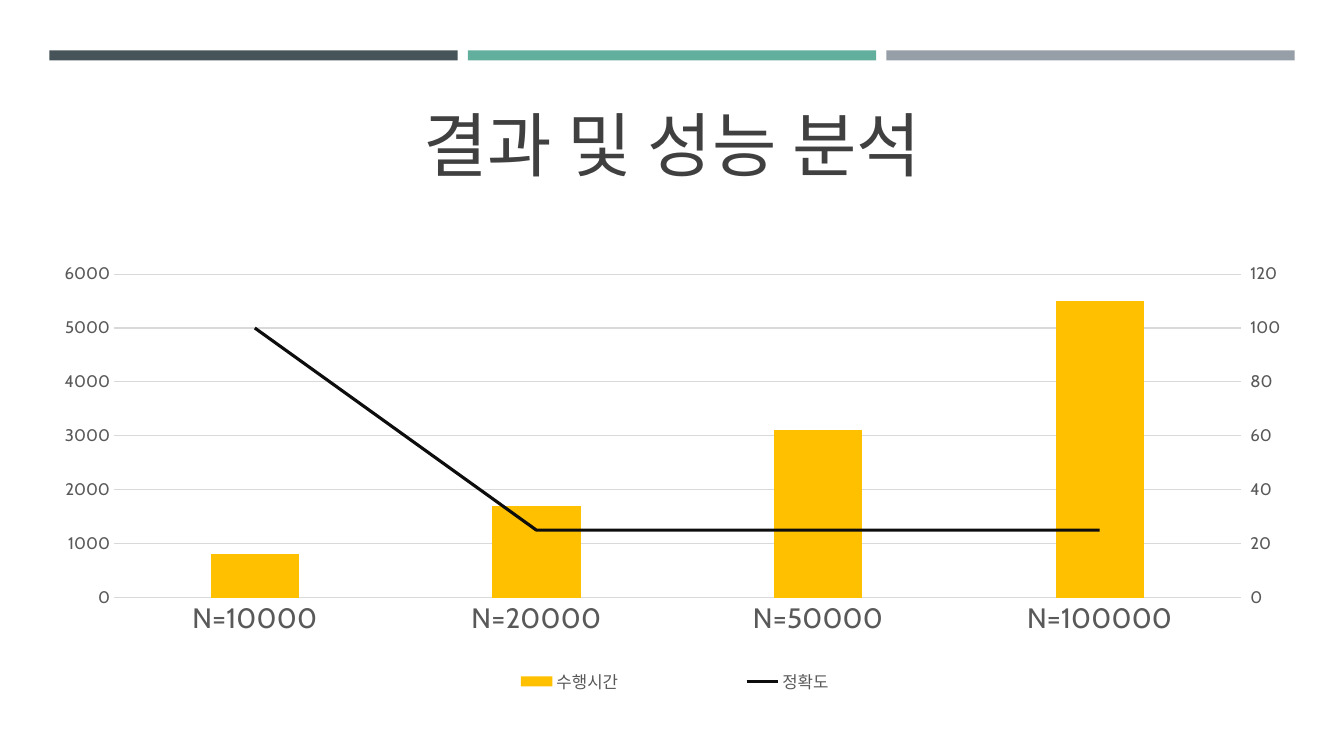
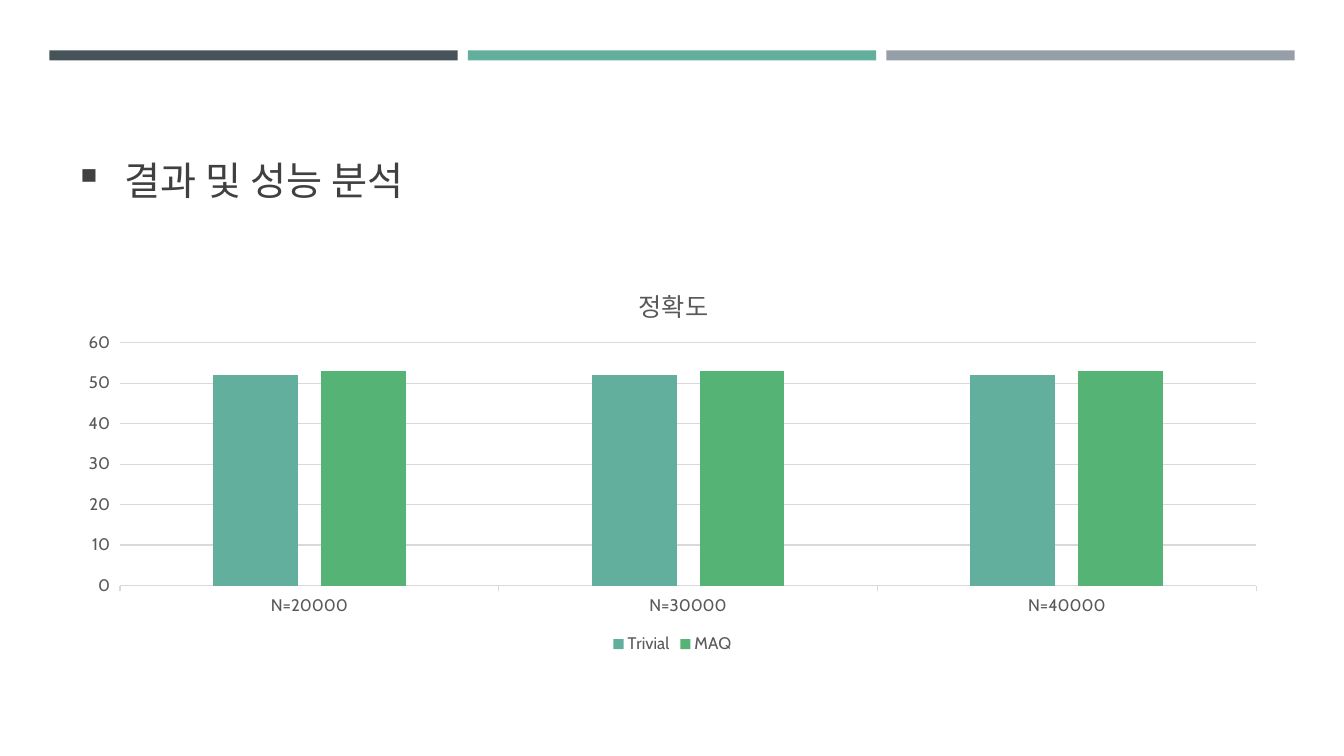
import copy
from dataclasses import dataclass

import pptx
import pptx.chart.axis
import pptx.chart.data
import pptx.dml.color
import pptx.enum.chart
import pptx.enum.shapes
import pptx.enum.text
import pptx.oxml
import pptx.oxml.ns
import pptx.util

EMU_PER_PX = 9144
Pt = pptx.util.Pt
qn = pptx.oxml.ns.qn
Tick = pptx.enum.chart.XL_TICK_MARK
Anchor = pptx.enum.text.MSO_ANCHOR
HEADING_BOX = (64, 77, 1206, 130)


@dataclass(frozen=True)
class Theme:
    bands: tuple = ("465359", "63AF9D", "969FA7")
    heading: str = "404040"
    label: str = "595959"
    rule: str = "D9D9D9"
    amber: str = "FFC000"
    black: str = "0D0D0D"
    teal: str = "63AF9D"
    green: str = "56B376"
    chart_font: str = "Cabin"
    heading_font: str = "Karla"
    korean_font: str = "Noto Sans CJK KR"
    heading_size: int = 50
    bullet_size: int = 28
    category_size: int = 20
    chart_title_size: int = 18
    label_size: int = 12


THEME = Theme()


def px(value):
    return pptx.util.Emu(value * EMU_PER_PX)


def rgb(value):
    return pptx.dml.color.RGBColor.from_string(value)


def paint(fill, color):
    fill.solid()
    fill.fore_color.rgb = rgb(color)


def style_font(font, size, color, name):
    font.size = Pt(size)
    font.bold = False
    font.name = name
    font.color.rgb = rgb(color)


def style_label(font, size=THEME.label_size):
    style_font(font, size, THEME.label, THEME.chart_font)


def add_run(paragraph, text, size, color, font_name):
    run = paragraph.add_run()
    run.text = text
    style_font(run.font, size, color, font_name)
    east_asian = run._r.get_or_add_rPr().makeelement(
        qn("a:ea"), {"typeface": THEME.korean_font})
    run._r.rPr.find(qn("a:latin")).addnext(east_asian)


def add_bands(slide):
    for column, color in enumerate(THEME.bands):
        band = slide.shapes.add_shape(
            pptx.enum.shapes.MSO_SHAPE.RECTANGLE,
            px(49 + 415 * column), px(50), px(405), px(10))
        band.shadow.inherit = False
        band.line.fill.background()
        paint(band.fill, color)


def add_heading(slide, text, size, font_name, anchor):
    frame = slide.shapes.add_textbox(*map(px, HEADING_BOX)).text_frame
    frame.word_wrap = True
    frame.vertical_anchor = anchor
    paragraph = frame.paragraphs[0]
    add_run(paragraph, text, size, THEME.heading, font_name)
    return paragraph


def set_bullet(paragraph, character, indent):
    properties = paragraph._p.get_or_add_pPr()
    properties.set("marL", str(px(indent)))
    properties.set("indent", str(-px(indent)))
    properties.append(properties.makeelement(qn("a:buChar"), {"char": character}))


def place(element, index, box, frame, inner=False):
    for previous in element.findall(qn("c:layout")):
        element.remove(previous)
    left, top, width, height = frame
    settings = [("layoutTarget", "inner")] if inner else []
    settings += [("xMode", "edge"), ("yMode", "edge"),
                 ("x", (box[0] - left) / width), ("y", (box[1] - top) / height)]
    if len(box) == 4:
        settings += [("w", box[2] / width), ("h", box[3] / height)]
    layout = element.makeelement(qn("c:layout"), {})
    manual = layout.makeelement(qn("c:manualLayout"), {})
    layout.append(manual)
    for name, value in settings:
        manual.append(manual.makeelement(qn(f"c:{name}"), {"val": str(value)}))
    element.insert(index, layout)


def set_scale(axis, top, step):
    axis.minimum_scale = 0
    axis.maximum_scale = top
    axis.major_unit = step


def add_column_chart(slide, frame, plot_box, categories, series, top, step,
                     tick=Tick.OUTSIDE, category_size=THEME.label_size, overlap=0):
    data = pptx.chart.data.CategoryChartData()
    data.categories = categories
    for name, values, _ in series:
        data.add_series(name, values)
    chart = slide.shapes.add_chart(
        pptx.enum.chart.XL_CHART_TYPE.COLUMN_CLUSTERED,
        *map(px, frame), data).chart
    chart.has_title = False
    style_label(chart.font)
    columns = chart.plots[0]
    columns.vary_by_categories = False
    columns.gap_width = 219
    columns.overlap = overlap
    for column, (_, _, color) in zip(columns.series, series):
        paint(column.format.fill, color)

    chart.has_legend = True
    chart.legend.position = pptx.enum.chart.XL_LEGEND_POSITION.BOTTOM
    chart.legend.include_in_layout = False
    style_label(chart.legend.font)

    for axis, size in ((chart.category_axis, category_size),
                       (chart.value_axis, THEME.label_size)):
        axis.major_tick_mark = tick
        style_label(axis.tick_labels.font, size)
    gridlines = chart.value_axis.major_gridlines.format.line
    for line in (chart.category_axis.format.line, gridlines):
        paint(line.fill, THEME.rule)
        line.width = Pt(0.75)
    chart.value_axis.format.line.fill.background()
    set_scale(chart.value_axis, top, step)
    place(chart._chartSpace.chart.plotArea, 0, plot_box, frame, inner=True)
    return chart


def set_value(element, name, value):
    element.find(qn(f"c:{name}")).set("val", value)


def move_last_series_to_right_axis(chart, color, top, step):
    plot_area = chart._chartSpace.chart.plotArea
    bars = plot_area.find(qn("c:barChart"))
    moved = bars.findall(qn("c:ser"))[-1]
    for name in ("c:invertIfNegative", "c:spPr"):
        for child in moved.findall(qn(name)):
            moved.remove(child)
    line_plot = pptx.oxml.parse_xml(
        f'<c:lineChart {pptx.oxml.ns.nsdecls("c")}><c:grouping val="standard"/>'
        '<c:varyColors val="0"/><c:marker val="1"/>'
        '<c:axId val="5001"/><c:axId val="5002"/></c:lineChart>')
    line_plot.insert(2, moved)
    bars.addnext(line_plot)
    accuracy = chart.plots[1].series[0]
    accuracy.smooth = False
    accuracy.marker.style = pptx.enum.chart.XL_MARKER_STYLE.NONE
    paint(accuracy.format.line.fill, color)
    accuracy.format.line.width = Pt(2.25)

    category = plot_area.find(qn("c:catAx"))
    value = plot_area.find(qn("c:valAx"))
    right_category, right_value = copy.deepcopy(category), copy.deepcopy(value)
    value.addnext(right_value)
    right_value.addnext(right_category)
    for element, own, other in ((right_category, "5001", "5002"),
                                (right_value, "5002", "5001")):
        set_value(element, "axId", own)
        set_value(element, "crossAx", other)
    set_value(right_category, "delete", "1")
    set_value(right_value, "axPos", "r")
    set_value(right_value, "crosses", "max")
    right_axis = pptx.chart.axis.ValueAxis(right_value)
    right_axis.has_major_gridlines = False
    right_axis.major_tick_mark = Tick.OUTSIDE
    set_scale(right_axis, top, step)


def add_chart_title(chart, text, position, frame):
    chart.has_title = True
    paragraph = chart.chart_title.text_frame.paragraphs[0]
    add_run(paragraph, text, THEME.chart_title_size, THEME.label, THEME.korean_font)
    chart.chart_title.include_in_layout = False
    place(chart._chartSpace.chart.find(qn("c:title")), 1, position, frame)


def build_time_slide(slide):
    heading = add_heading(slide, "결과 및 성능 분석", THEME.heading_size,
                          THEME.heading_font, Anchor.MIDDLE)
    heading.alignment = pptx.enum.text.PP_ALIGN.CENTER
    frame = (64, 256, 1206, 466)
    chart = add_column_chart(
        slide, frame, (112, 272, 1119, 321),
        ("N=10000", "N=20000", "N=50000", "N=100000"),
        (("수행시간", (800, 1700, 3100, 5500), THEME.amber),
         ("정확도", (100, 25, 25, 25), THEME.black)),
        6000, 1000, tick=Tick.NONE, category_size=THEME.category_size)
    move_last_series_to_right_axis(chart, THEME.black, 120, 20)
    place(chart.legend._element, 1, (394, 656, 550, 40), frame)


def build_accuracy_slide(slide):
    heading = add_heading(slide, "결과 및 성능 분석", THEME.bullet_size,
                          THEME.korean_font, Anchor.BOTTOM)
    set_bullet(heading, "▪", 50)
    frame = (64, 256, 1206, 397)
    chart = add_column_chart(
        slide, frame, (119, 340, 1127, 241),
        ("N=20000", "N=30000", "N=40000"),
        (("Trivial", (52, 52, 52), THEME.teal),
         ("MAQ", (53, 53, 53), THEME.green)),
        60, 10, overlap=-27)
    add_chart_title(chart, "정확도", (629, 277), frame)


def main():
    deck = pptx.Presentation()
    deck.slide_width, deck.slide_height = px(1333), px(750)
    for build in (build_time_slide, build_accuracy_slide):
        slide = deck.slides.add_slide(deck.slide_layouts[6])
        add_bands(slide)
        build(slide)
    deck.save("out.pptx")


if __name__ == "__main__":
    main()
